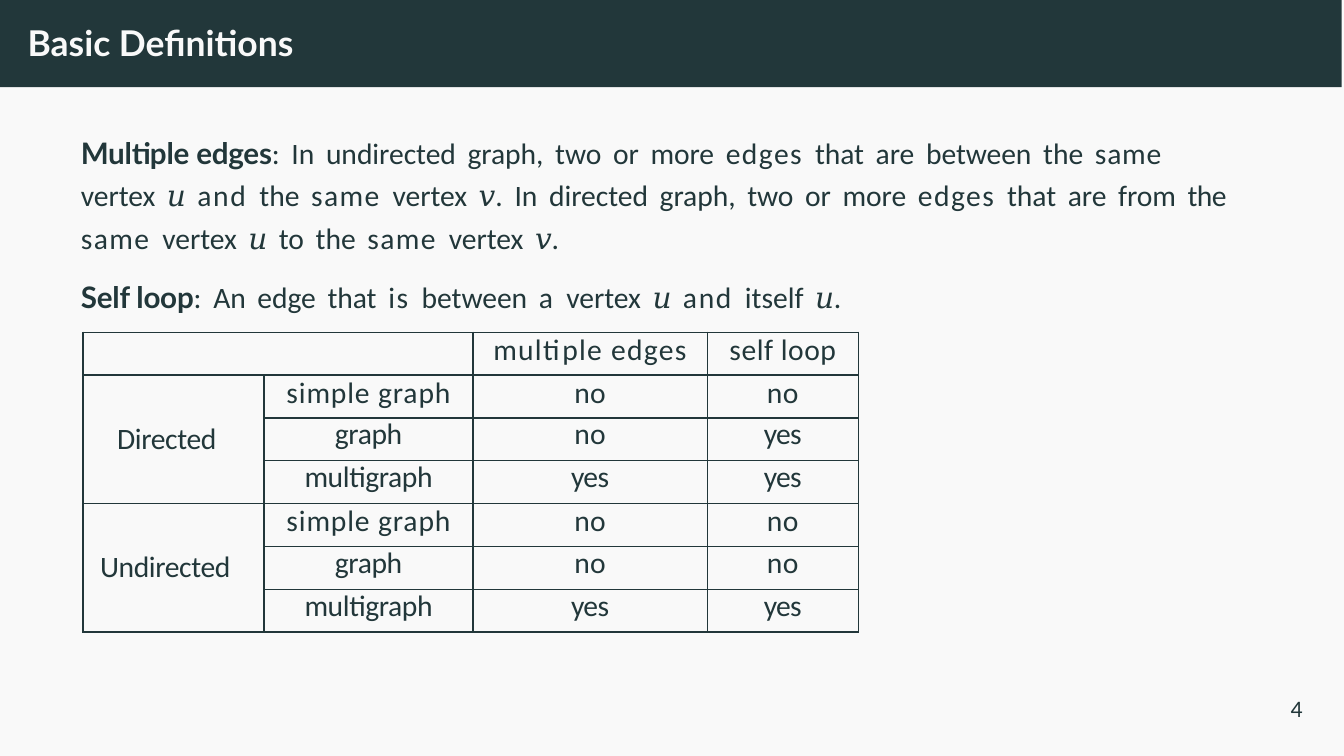
from itertools import groupby
from lxml import etree
from pptx import Presentation
from pptx.dml.color import RGBColor
from pptx.enum.shapes import MSO_SHAPE as SHAPE
from pptx.enum.text import MSO_ANCHOR as ANCHOR, MSO_AUTO_SIZE as FIT, PP_ALIGN as ALIGN
from pptx.oxml.ns import qn
from pptx.util import Inches, Pt

DARK, LIGHT = "22373A", "F9F9F9"
WORD_GAP = 1.7  # extra width of the spaces in the body, in points


def paint(target, color):
    if hasattr(target, "solid"):
        target.solid()
        target = target.fore_color
    target.rgb = RGBColor.from_string(color)


def style(span, size, font="Calibri", color=DARK, bold=False, spacing=0):
    span.font.size, span.font.name, span.font.bold = Pt(size), font, bold
    paint(span.font.color, color)
    if spacing:
        span.font._element.set("spc", str(round(spacing * 100)))


deck = Presentation()
deck.slide_width, deck.slide_height = Inches(6.31), Inches(3.55)
page = deck.slides.add_slide(deck.slide_layouts[5])
paint(page.background.fill, LIGHT)

# Title bar, placed behind the title
bar = page.shapes.add_shape(SHAPE.RECTANGLE, 0, 0, Inches(6.3), Inches(0.41))
bar.shadow.inherit = False
paint(bar.fill, DARK)
bar.line.fill.background()
page.shapes._spTree.insert(2, bar._element)

# Title, body and page number share one frame set-up
title = page.shapes.title
title.left, title.top, title.width, title.height = map(Inches, (0.13, 0.09, 1.36, 0.23))
body = page.shapes.add_textbox(*map(Inches, (0.38, 0.59, 5.44, 0.9)))
number = page.shapes.add_textbox(*map(Inches, (6.06, 3.25, 0.17, 0.17)))
for box in (title, body, number):
    frame = box.text_frame
    frame.margin_left = frame.margin_right = frame.margin_bottom = 0
    frame.margin_top = Inches(0.01)
    frame.word_wrap, frame.auto_size = True, FIT.NONE
    frame.vertical_anchor = ANCHOR.TOP

for box, text, look in ((title, "Basic Definitions", (12, "Lato", LIGHT, True)),
                        (number, "4", (8,))):
    box.text_frame.text = text
    para = box.text_frame.paragraphs[0]
    para.alignment = ALIGN.LEFT
    style(para.runs[0], *look)

# Definitions: a bold term, then pieces of text with their letter spacing
definitions = [
    ("Multiple edges", [
        (": In undirected graph, two or more ", 0), ("edges ", 0.5),
        ("that are between the ", 0), ("same ", 0.3), ("vertex 𝑢 ", 0), ("and ", 0.6),
        ("the ", 0), ("same ", 0.5), ("vertex 𝑣. In directed graph, two or more ", 0),
        ("edges ", 0.5), ("that are from ", 0), ("the ", -0.2), ("same ", 0.5),
        ("vertex 𝑢 to the ", 0), ("same ", 0.5), ("vertex 𝑣.", 0)]),
    ("Self loop", [
        (": An edge that ", 0), ("is ", 0.6), ("between ", 0), ("a ", 0.6),
        ("vertex 𝑢 ", 0), ("and ", 0.6), ("itself 𝑢.", 0)]),
]
for index, (term, pieces) in enumerate(definitions):
    frame = body.text_frame
    para = frame.add_paragraph() if index else frame.paragraphs[0]
    if index:
        para.space_before = Pt(7.8)
    else:
        para.line_spacing = 1.2
    para.text = term
    style(para.runs[0], 10, "Lato", bold=True, spacing=-0.05)
    for text, spacing in pieces:
        kinds = groupby(text, lambda c: "gap" if c == " " else "math" if c in "𝑢𝑣" else "word")
        for kind, letters in kinds:
            span = para.add_run()
            span.text = "".join(letters)
            style(span, 10, "Cambria" if kind == "math" else "Calibri",
                  spacing=WORD_GAP if kind == "gap" else spacing)

# Table of graph kinds
header = ["", "", "multiple edges", "self loop"]
groups = {
    "Directed": [("simple graph", "no", "no"), ("graph", "no", "yes"),
                 ("multigraph", "yes", "yes")],
    "Undirected": [("simple graph", "no", "no"), ("graph", "no", "no"),
                   ("multigraph", "yes", "yes")],
}
indents = {"Directed": 0.16, "Undirected": 0.08}
letter_spacing = {"multiple edges": 0.45, "self loop": 0.2, "simple graph": 0.3,
                  "no": 0.2, "yes": -0.2}
rows = [header]
for group, kinds in groups.items():
    rows += [[group if i == 0 else "", *kind] for i, kind in enumerate(kinds)]

table = page.shapes.add_table(len(rows), 4, *map(Inches, (0.39, 1.56, 3.64, 1.41))).table
for column, width in zip(table.columns, (0.85, 0.98, 1.1, 0.71)):
    column.width = Inches(width)
for row in table.rows:
    row.height = Inches(1.41 / len(rows))

for r, texts in enumerate(rows):
    for c, text in enumerate(texts):
        cell = table.cell(r, c)
        cell.margin_left = cell.margin_right = cell.margin_top = cell.margin_bottom = 0
        cell.text_frame.text = text
        para = cell.text_frame.paragraphs[0]
        if text in groups:
            cell.margin_left = Inches(indents[text])
            cell.vertical_anchor = ANCHOR.MIDDLE
        else:
            para.alignment = ALIGN.CENTER
        if texts[1] in ("graph", "multigraph"):
            para.line_spacing = Pt(11.8)
        for span in para.runs:
            style(span, 10, spacing=letter_spacing.get(text, -0.1))
        if not text:
            para._p.get_or_add_endParaRPr().set("sz", "1000")
        # Borders come before the fill in the cell properties
        props = cell._tc.get_or_add_tcPr()
        for side in ("lnL", "lnR", "lnT", "lnB"):
            line = etree.SubElement(props, qn(f"a:{side}"), w=str(Pt(0.5)))
            fill = etree.SubElement(line, qn("a:solidFill"))
            etree.SubElement(fill, qn("a:srgbClr"), val=DARK)
        paint(cell.fill, LIGHT)

table.cell(0, 0).merge(table.cell(0, 1))
for top in (1, 4):
    table.cell(top, 0).merge(table.cell(top + 2, 0))

deck.save("out.pptx")
